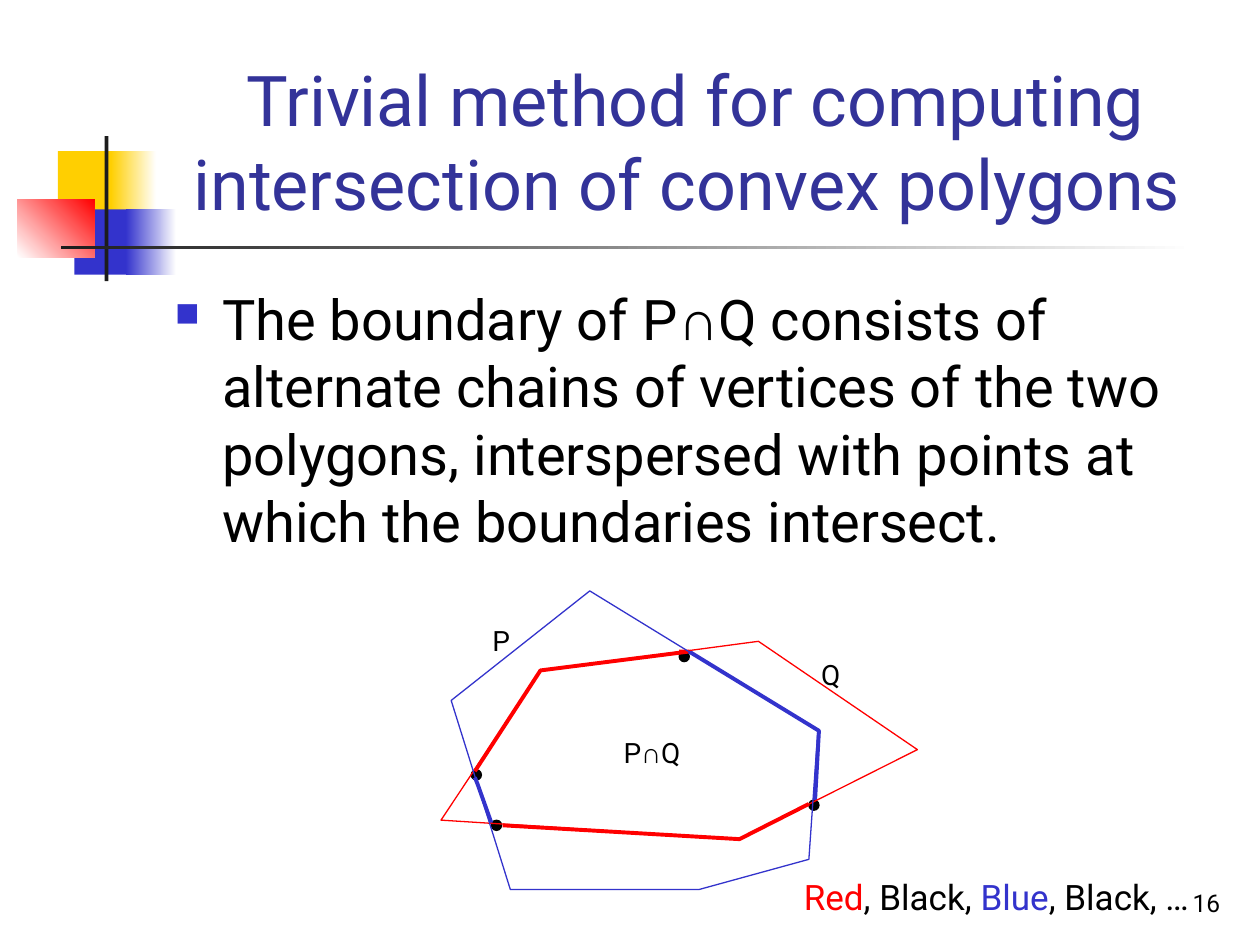
import pptx
import pptx.dml.color
import pptx.enum.shapes
import pptx.enum.text
import pptx.oxml.ns
import pptx.util
from lxml import etree

Pt = pptx.util.Pt
SHAPE = pptx.enum.shapes.MSO_SHAPE
ALIGN = pptx.enum.text.PP_ALIGN
ANCHOR = pptx.enum.text.MSO_ANCHOR
COLORS = {
    "gold": "FFCF01", "blue": "3333CC", "red": "FF0000", "white": "FFFFFF",
    "dark": "1C1C1C", "navy": "333399", "black": "000000",
}


def tint(name):
    """Return the named colour."""
    return pptx.dml.color.RGBColor.from_string(COLORS[name])


def add_bar(slide, box, fill, end=None, angle=0, kind=SHAPE.RECTANGLE):
    """Add a borderless shape with a plain or two-colour fill."""
    bar = slide.shapes.add_shape(kind, *map(Pt, box))
    bar.shadow.inherit = False
    bar.line.fill.background()
    if end:
        bar.fill.gradient()
        bar.fill.gradient_angle = angle
        for stop, name in zip(bar.fill.gradient_stops, (fill, end)):
            stop.color.rgb = tint(name)
    else:
        bar.fill.solid()
        bar.fill.fore_color.rgb = tint(fill)
    return bar


def add_text(slide, box, runs, size, align=ALIGN.LEFT, anchor=ANCHOR.TOP):
    """Add a text box of (text, colour, font) runs and return its paragraph."""
    frame = slide.shapes.add_textbox(*map(Pt, box)).text_frame
    frame.word_wrap = True
    frame.vertical_anchor = anchor
    para = frame.paragraphs[0]
    para.alignment = align
    for text, color, face in runs:
        run = para.add_run()
        run.text = text
        run.font.size = Pt(size)
        run.font.name = face
        run.font.color.rgb = tint(color)
    return para


def add_path(slide, left, top, points, color, width, close=False):
    """Draw an unfilled line through points relative to a corner."""
    spots = [(Pt(left + x), Pt(top + y)) for x, y in points]
    pen = slide.shapes.build_freeform(*spots[0], scale=1.0)
    pen.add_line_segments(spots[1:], close=close)
    path = pen.convert_to_shape()
    path.shadow.inherit = False
    path.fill.background()
    path.line.color.rgb = tint(color)
    path.line.width = Pt(width)


def add_motif(slide, left, top):
    """Draw the coloured squares and the crossing rules."""
    for x, y, w, h, fill, end, angle in (
        (23, 8.6, 34.6, 37.4, "gold", None, 0),
        (53.3, 8.6, 25.9, 37.4, "gold", "white", 0),
        (32.4, 41.8, 33.1, 37.4, "blue", None, 0),
        (61.9, 41.8, 28.8, 37.4, "blue", "white", 0),
        (0, 36, 43.9, 33.1, "white", "red", 45),
        (49.7, 0, 2.2, 82.8, "dark", None, 0),
        (24.5, 62.6, 648, 2.2, "dark", "white", 0),
    ):
        add_bar(slide, (left + x, top + y, w, h), fill, end, angle)


def add_body(slide, box):
    """Add the bulleted statement."""
    para = add_text(slide, box, [
        ("The boundary of P", "black", "Roboto"),
        ("∩", "black", "Arial"),
        ("Q consists of alternate chains of vertices of the two polygons, "
         "interspersed with points at which the boundaries intersect.",
         "black", "Roboto"),
    ], 32)
    para.space_before = Pt(8)
    props = para._p.get_or_add_pPr()
    props.set("marL", str(Pt(27)))
    props.set("indent", str(Pt(-27)))
    qn = pptx.oxml.ns.qn
    hue = etree.SubElement(props, qn("a:buClr"))
    etree.SubElement(hue, qn("a:srgbClr"), val=COLORS["blue"])
    etree.SubElement(props, qn("a:buSzPct"), val="60000")
    etree.SubElement(props, qn("a:buChar"), char="■")


def add_figure(slide, left, top):
    """Draw both polygons, their shared boundary, its dots and labels."""
    chains = (
        ("red", [(19.4, 103), (56.9, 45.4), (141.8, 34.6), (136.1, 34.6)]),
        ("blue", [(141.8, 34.6), (216, 79.9), (213.8, 119.5)]),
        ("red", [(210.2, 121.7), (170.6, 141.8), (35.3, 133.9)]),
        ("blue", [(19.4, 106.6), (20.9, 110.2), (28.8, 132.5)]),
    )
    outer = (
        ("red", [(0, 131), (56.9, 45.4), (181.4, 28.8), (272.2, 90.7),
                 (170.6, 141.8)]),
        ("blue", [(85, 0), (215.3, 79.9), (210.2, 153.4), (147.6, 170.6),
                  (39.6, 170.6), (5.8, 62.6)]),
    )
    dots = ((136.1, 34.6), (210.2, 119.5), (17.3, 102.2), (28.8, 131))
    labels = (
        (22.3, 15.1, 23.8, "P"),
        (210.2, 34.6, 26.6, "Q"),
        (97.2, 79.3, 54, "P∩Q"),
    )
    for x, y in dots:
        dot = add_bar(slide, (left + x, top + y, 5.8, 5.8), "black",
                      kind=SHAPE.OVAL)
        dot.line.color.rgb = tint("black")
        dot.line.width = Pt(0.75)
    for color, points in chains:
        add_path(slide, left, top, points, color, 2.25)
    for color, points in outer:
        add_path(slide, left, top, points, color, 0.75, True)
    for x, y, w, text in labels:
        runs = [(c, "black", "Arial" if c == "∩" else "Roboto") for c in text]
        add_text(slide, (left + x, top + y, w, 26.6), runs, 16)


def add_foot(slide, left, top):
    """Add the colour sequence and the page number."""
    words = (("Red", "red"), (", Black, ", "black"),
             ("Blue", "blue"), (", Black, …", "black"))
    runs = [(text, color, "Roboto") for text, color in words]
    add_text(slide, (left, top + 5, 250, 31.7), runs, 20)
    add_text(slide, (left + 102.2, top, 150, 36), [("16", "black", "Roboto")],
             14, ALIGN.RIGHT, ANCHOR.BOTTOM)


def main():
    """Build and save the slide."""
    deck = pptx.Presentation()
    deck.slide_width, deck.slide_height = Pt(720), Pt(540)
    slide = deck.slides.add_slide(deck.slide_layouts[6])
    add_motif(slide, 10.1, 77.8)
    title = "Trivial method for computing intersection of convex polygons "
    add_text(slide, (90.7, 16.6, 613.4, 115.2), [(title, "navy", "Roboto")],
             40, ALIGN.CENTER, ANCHOR.BOTTOM)
    add_body(slide, (92.9, 159.1, 612, 324))
    add_figure(slide, 252, 337.7)
    add_foot(slide, 452.2, 491.8)
    deck.save("out.pptx")


if __name__ == "__main__":
    main()
